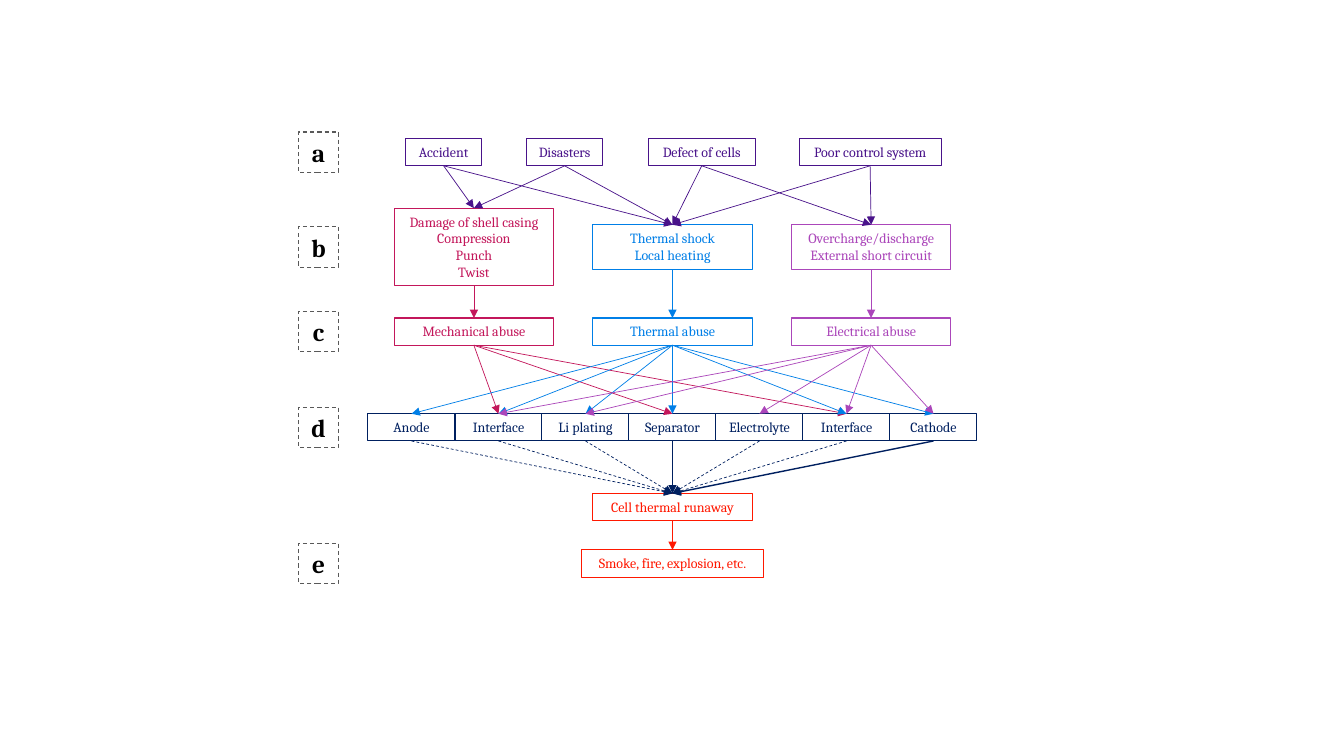
from dataclasses import dataclass

from lxml import etree
from pptx import Presentation
from pptx.dml.color import RGBColor
from pptx.enum.dml import MSO_LINE
from pptx.enum.shapes import MSO_CONNECTOR
from pptx.enum.text import MSO_ANCHOR, MSO_AUTO_SIZE, PP_ALIGN
from pptx.oxml.ns import qn
from pptx.util import Inches, Pt

DASH = MSO_LINE.DASH
STRAIGHT = MSO_CONNECTOR.STRAIGHT
CENTER = PP_ALIGN.CENTER
TOP, MIDDLE = MSO_ANCHOR.TOP, MSO_ANCHOR.MIDDLE
GROW = MSO_AUTO_SIZE.SHAPE_TO_FIT_TEXT
TOP_SITE, BOTTOM_SITE = 0, 2  # connection sites of a rectangle


@dataclass(frozen=True)
class Theme:
    font: str = "Cambria"
    body: float = 10
    label: float = 18
    cause: str = "49138A"
    mechanical: str = "C3175B"
    thermal: str = "007FE7"
    electrical: str = "AB46BA"
    component: str = "002060"
    runaway: str = "FF1800"
    label_line: str = "595959"
    label_text: str = "000000"
    outline: float = 0.75
    thin: float = 0.5
    thick: float = 1


# Layout: vertical centre of each row, columns and box sizes, in inches
ROW_Y = {"a": 1.51, "b": 2.45, "c": 3.29, "d": 4.24, "e": 5.59}
RUNAWAY_Y = 5.03
LABEL_X, LABEL_SIZE = 3.16, 0.4
MID_X, COLUMN_STEP = 6.67, 1.97
BOX_W, BOX_H = 1.58, 0.27
COMPONENT_W = 6.04 / 7

# Causes: text, centre, width, columns they lead to
CAUSES = [
    ("Accident", 4.4, 0.76, (0, 1)),
    ("Disasters", 5.6, 0.76, (0, 1)),
    ("Defect of cells", 6.96, 1.06, (1, 2)),
    ("Poor control system", 8.63, 1.41, (1, 2)),
]
# Abuse columns: theme colour, trigger text, trigger height, abuse, components hit
ABUSES = [
    ("mechanical", "Damage of shell casing\nCompression\nPunch\nTwist", 0.77,
     "Mechanical abuse", (1, 3, 5)),
    ("thermal", "Thermal shock\nLocal heating", 0.44,
     "Thermal abuse", (0, 1, 2, 3, 5, 6)),
    ("electrical", "Overcharge/discharge\nExternal short circuit", 0.44,
     "Electrical abuse", (1, 2, 4, 5, 6)),
]
COMPONENTS = ["Anode", "Interface", "Li plating", "Separator",
              "Electrolyte", "Interface", "Cathode"]
DIRECT_COMPONENTS = ("Separator", "Cathode")


def write(tf, text, *, font, size, color, bold=False, anchor=TOP):
    """Fill a text frame with centred lines, one paragraph per line."""
    tf.word_wrap = True
    tf.auto_size = GROW
    tf.vertical_anchor = anchor
    for i, line in enumerate(text.split("\n")):
        p = tf.paragraphs[0] if i == 0 else tf.add_paragraph()
        p.alignment = CENTER
        r = p.add_run()
        r.text = line
        r.font.name = font
        r.font.size = Pt(size)
        r.font.bold = bold
        r.font.color.rgb = RGBColor.from_string(color)


class Diagram:
    def __init__(self, slide, theme):
        self.slide = slide
        self.theme = theme

    def stroke(self, line, color, width, dash=None):
        line.color.rgb = RGBColor.from_string(color)
        line.width = Pt(width)
        if dash:
            line.dash_style = dash

    def frame(self, x, y, w, h, color, dash=None):
        """Outlined text box centred on x, y."""
        sp = self.slide.shapes.add_textbox(
            Inches(x - w / 2), Inches(y - h / 2), Inches(w), Inches(h))
        self.stroke(sp.line, color, self.theme.outline, dash)
        return sp

    def box(self, text, x, y, color, w=BOX_W, h=BOX_H):
        sp = self.frame(x, y, w, h, color)
        write(sp.text_frame, text, font=self.theme.font,
              size=self.theme.body, color=color)
        return sp

    def label(self, text, y):
        t = self.theme
        sp = self.frame(LABEL_X, y, LABEL_SIZE, LABEL_SIZE, t.label_line, DASH)
        write(sp.text_frame, text, font=t.font, size=t.label,
              color=t.label_text, bold=True, anchor=MIDDLE)

    def arrow(self, start, end, color, width=None, dash=None):
        """Arrow from the bottom of one box to the top of another."""
        c = self.slide.shapes.add_connector(STRAIGHT, 0, 0, 0, 0)
        c.begin_connect(start, BOTTOM_SITE)
        c.end_connect(end, TOP_SITE)
        self.stroke(c.line, color, width or self.theme.thin, dash)
        sp_pr = c._element.spPr
        etree.SubElement(sp_pr.find(qn("a:ln")), qn("a:tailEnd"), type="triangle")
        etree.SubElement(sp_pr, qn("a:effectLst"))


def main():
    prs = Presentation()
    prs.slide_width, prs.slide_height = Inches(13.33), Inches(7.5)
    theme = Theme()
    d = Diagram(prs.slides.add_slide(prs.slide_layouts[6]), theme)

    # Boxes
    causes = [d.box(text, x, ROW_Y["a"], theme.cause, w)
              for text, x, w, _ in CAUSES]
    triggers, abuses = [], []
    for i, (kind, trigger, h, abuse, _) in enumerate(ABUSES):
        x, color = MID_X + (i - 1) * COLUMN_STEP, getattr(theme, kind)
        triggers.append(d.box(trigger, x, ROW_Y["b"], color, h=h))
        abuses.append(d.box(abuse, x, ROW_Y["c"], color))
    components = [d.box(text, MID_X + (i - 3) * COMPONENT_W, ROW_Y["d"],
                        theme.component, COMPONENT_W)
                  for i, text in enumerate(COMPONENTS)]
    runaway = d.box("Cell thermal runaway", MID_X, RUNAWAY_Y, theme.runaway)
    outcome = d.box("Smoke, fire, explosion, etc.", MID_X, ROW_Y["e"],
                    theme.runaway, 1.8)

    # Arrows from causes to triggers
    for sp, (_, _, _, columns) in zip(causes, CAUSES):
        for i in columns:
            d.arrow(sp, triggers[i], theme.cause)

    # Arrows from triggers to abuse, and on to the cell components
    for trigger, abuse, (kind, _, _, _, hits) in zip(triggers, abuses, ABUSES):
        color = getattr(theme, kind)
        d.arrow(trigger, abuse, color)
        for i in hits:
            d.arrow(abuse, components[i], color)

    # Arrows into thermal runaway and its outcome
    for sp, name in zip(components, COMPONENTS):
        if name in DIRECT_COMPONENTS:
            d.arrow(sp, runaway, theme.component, theme.thick)
        else:
            d.arrow(sp, runaway, theme.component, dash=DASH)
    d.arrow(runaway, outcome, theme.runaway)

    # Row labels
    for letter, y in ROW_Y.items():
        d.label(letter, y)

    prs.save("out.pptx")


if __name__ == "__main__":
    main()
